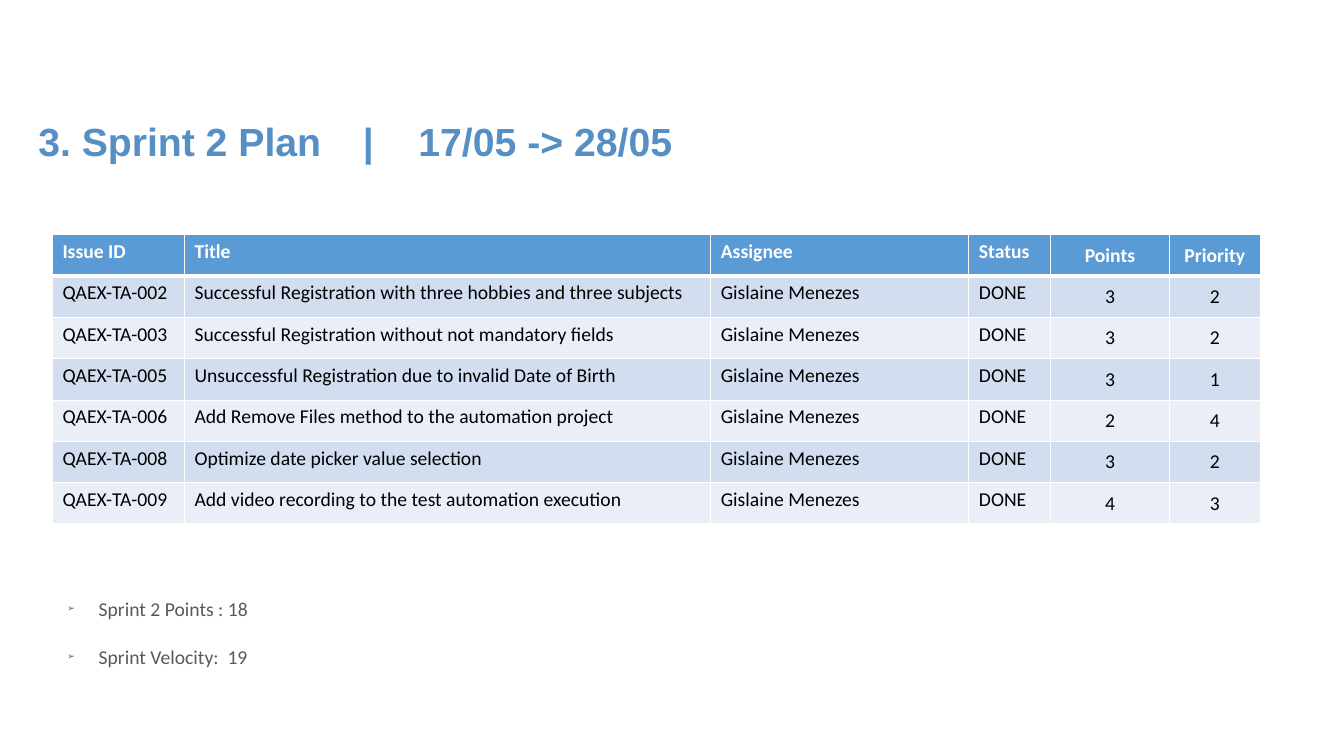
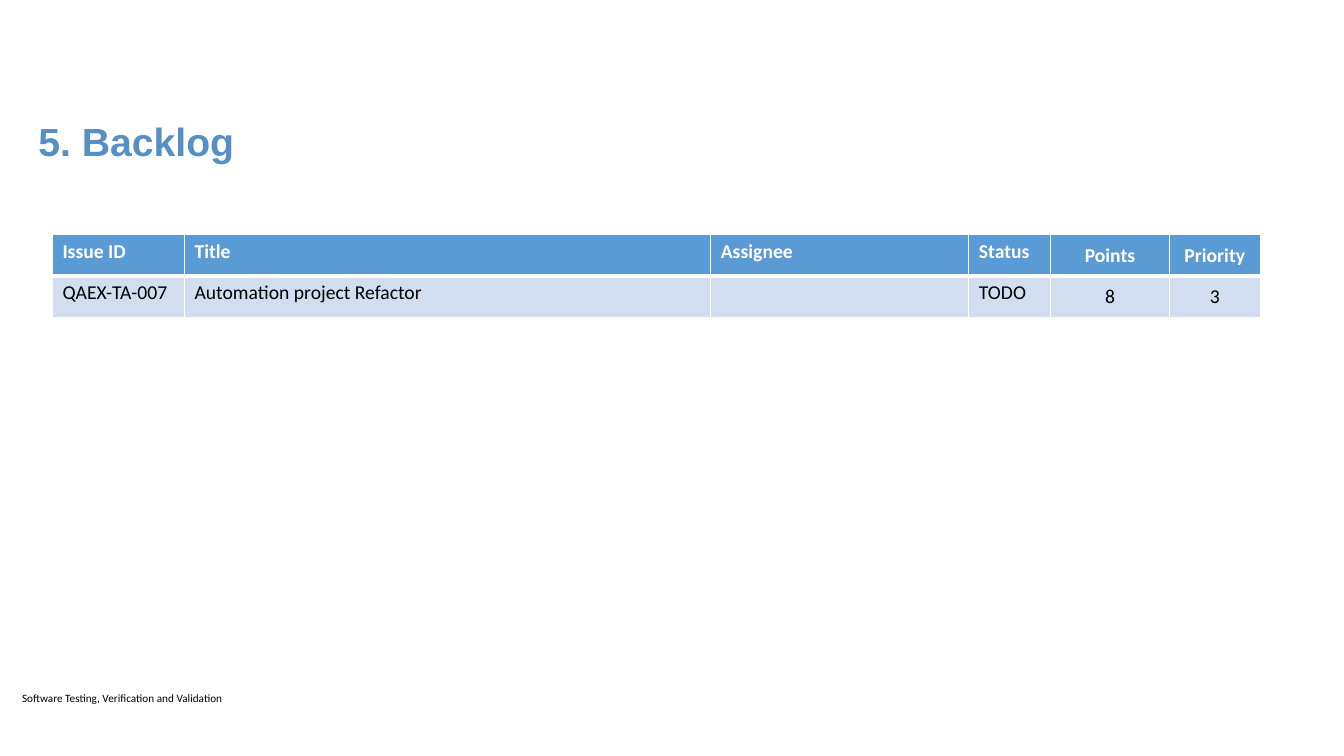
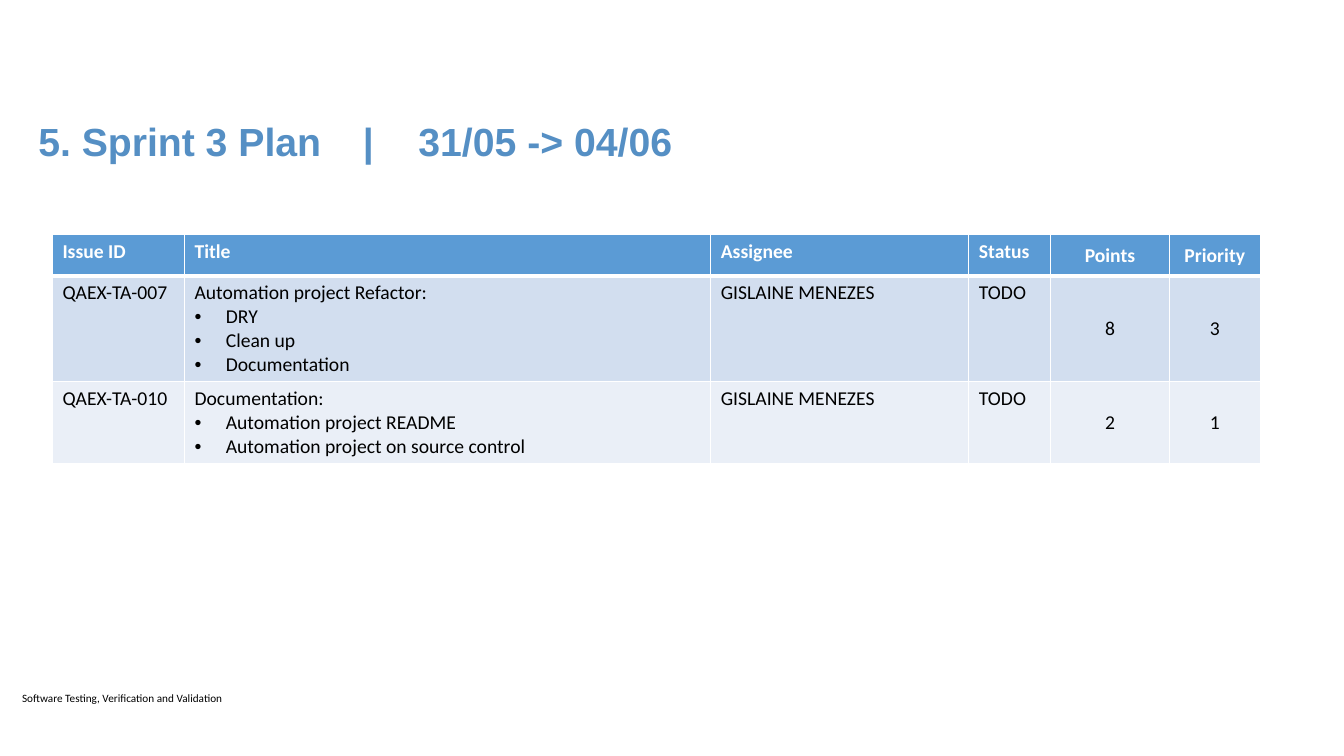
from dataclasses import dataclass

from lxml import etree
from pptx import Presentation
from pptx.dml.color import RGBColor
from pptx.enum import text as t
from pptx.oxml.ns import qn
from pptx.util import Inches, Pt


@dataclass(frozen=True)
class Theme:
    title: str = "558FC4"
    header: str = "5B9BD5"
    bands: tuple = ("D2DEEF", "EAEFF7")
    white: str = "FFFFFF"
    black: str = "000000"
    gray: str = "595959"
    title_font: str = "Arial"
    body_font: str = "Calibri"
    title_size: float = 28
    body_size: float = 14
    footer_size: float = 8


THEME = Theme()
TITLE_BOX = (0.28, 1.11, 7.18, 0.57)
TABLE_BOX = (0.52, 2.33, 11.97, 0.41)
SUMMARY_BOX = (0.28, 5.82, 12.75, 1.14)
FOOTER_BOX = (0.12, 6.81, 5.35, 0.24)

HEADINGS = ("Issue ID", "Title", "Assignee", "Status", "Points", "Priority")
COLUMN_WIDTHS = (1.31, 5.22, 2.56, 0.81, 1.18, 0.9)
FIRST_CENTERED = HEADINGS.index("Points")
ROW_HEIGHT, LINE_HEIGHT, CELL_PADDING = 0.41, 0.23, 0.1
FOOTER = "Software Testing, Verification and Validation"
BULLET = "•"
ARROW = "➢"


def add_node(parent, tag, **attributes):
    node = etree.SubElement(parent, qn(tag))
    for name, value in attributes.items():
        node.set(name, str(value))
    return node


def set_bullet(para, char, indent, percent=100):
    properties = para._p.get_or_add_pPr()
    properties.set("marL", str(Inches(indent)))
    properties.set("indent", str(-Inches(0.31)))
    add_node(properties, "a:buSzPct", val=percent * 1000)
    add_node(properties, "a:buFont", typeface=THEME.title_font)
    add_node(properties, "a:buChar", char=char)


def set_tabs(para, stops):
    tabs = add_node(para._p.get_or_add_pPr(), "a:tabLst")
    for stop in stops:
        add_node(tabs, "a:tab", pos=Inches(stop), algn="l")


def write(frame, text, *, size=THEME.body_size, font=THEME.body_font, color=THEME.black,
          bold=False, align=t.PP_ALIGN.LEFT, before=0, after=0):
    """Fill a text frame with one paragraph per line and return the paragraphs."""
    for index, line in enumerate(text.split("\n")):
        para = frame.add_paragraph() if index else frame.paragraphs[0]
        para.alignment = align
        para.space_before, para.space_after = Pt(before), Pt(after)
        span = para.add_run()
        span.text = line
        span.font.size, span.font.name, span.font.bold = Pt(size), font, bold
        span.font.color.rgb = RGBColor.from_string(color)
    return frame.paragraphs


def add_text_box(page, box, text, top_inset=0.05, **style):
    frame = page.shapes.add_textbox(*map(Inches, box)).text_frame
    frame.word_wrap = True
    frame.margin_top = Inches(top_inset)
    return write(frame, text, **style)


def set_title(page, box, text):
    title = page.shapes.title
    title.left, title.top, title.width, title.height = map(Inches, box)
    frame = title.text_frame
    frame.auto_size = t.MSO_AUTO_SIZE.NONE
    frame.vertical_anchor = t.MSO_ANCHOR.TOP
    paras = write(frame, text, size=THEME.title_size, font=THEME.title_font,
                  color=THEME.title, bold=True)
    set_tabs(paras[0], (3.22, 3.77))


def format_cell(cell, fill, bottom=1):
    properties = cell._tc.get_or_add_tcPr()
    for side, width in (("L", 1), ("R", 1), ("T", 1), ("B", bottom)):
        line = add_node(properties, f"a:ln{side}", w=Pt(width))
        add_node(add_node(line, "a:solidFill"), "a:srgbClr", val=THEME.white)
    cell.fill.solid()
    cell.fill.fore_color.rgb = RGBColor.from_string(fill)


def add_issue_table(page, box, issues):
    rows = [HEADINGS, *issues]
    left, top, width, height = box
    table = page.shapes.add_table(len(rows), len(HEADINGS), Inches(left), Inches(top),
                                  Inches(width), Inches(height * len(rows))).table
    for column, column_width in zip(table.columns, COLUMN_WIDTHS):
        column.width = Inches(column_width)
    for row_index, values in enumerate(rows):
        is_header = row_index == 0
        lines = max(value.count("\n") + 1 for value in values)
        table.rows[row_index].height = Inches(
            max(ROW_HEIGHT, CELL_PADDING + LINE_HEIGHT * lines))
        for column_index, value in enumerate(values):
            cell = table.cell(row_index, column_index)
            format_cell(cell, THEME.header if is_header else THEME.bands[(row_index - 1) % 2],
                        bottom=3 if is_header else 1)
            centered = column_index >= FIRST_CENTERED
            if centered:
                cell.vertical_anchor = t.MSO_ANCHOR.MIDDLE
            if value:
                paras = write(cell.text_frame, value, bold=is_header,
                              color=THEME.white if is_header else THEME.black,
                              align=t.PP_ALIGN.CENTER if centered else t.PP_ALIGN.LEFT)
                for para in paras[1:]:
                    set_bullet(para, BULLET, 0.31)


def add_summary(page, box, text):
    for para in add_text_box(page, box, text, top_inset=0.1, color=THEME.gray,
                             before=3.2, after=14.2):
        set_bullet(para, ARROW, 0.6, percent=45)


def add_issue_page(deck, title, issues, summary=None, footer=None):
    page = deck.slides.add_slide(deck.slide_layouts.get_by_name("Title Only"))
    set_title(page, TITLE_BOX, title)
    add_issue_table(page, TABLE_BOX, issues)
    if summary:
        add_summary(page, SUMMARY_BOX, summary)
    if footer:
        add_text_box(page, FOOTER_BOX, footer, size=THEME.footer_size)


def main():
    deck = Presentation()
    deck.slide_width, deck.slide_height = Inches(13.33), Inches(7.5)
    finished = (
        ("002", "Successful Registration with three hobbies and three subjects", "3", "2"),
        ("003", "Successful Registration without not mandatory fields", "3", "2"),
        ("005", "Unsuccessful Registration due to invalid Date of Birth", "3", "1"),
        ("006", "Add Remove Files method to the automation project", "2", "4"),
        ("008", "Optimize date picker value selection", "3", "2"),
        ("009", "Add video recording to the test automation execution", "4", "3"),
    )
    add_issue_page(
        deck, "3. Sprint 2 Plan\t|\t17/05 -> 28/05",
        [(f"QAEX-TA-{number}", name, "Gislaine Menezes", "DONE", points, priority)
         for number, name, points, priority in finished],
        summary="Sprint 2 Points : 18\nSprint Velocity:  19")
    add_issue_page(
        deck, "5. Backlog",
        [("QAEX-TA-007", "Automation project Refactor", "", "TODO", "8", "3")],
        footer=FOOTER)
    add_issue_page(
        deck, "5. Sprint 3 Plan\t|\t31/05 -> 04/06",
        [("QAEX-TA-007", "Automation project Refactor:\nDRY\nClean up\nDocumentation",
          "GISLAINE MENEZES", "TODO", "8", "3"),
         ("QAEX-TA-010", "Documentation:\nAutomation project README\n"
          "Automation project on source control", "GISLAINE MENEZES", "TODO", "2", "1")],
        footer=FOOTER)
    deck.save("out.pptx")


if __name__ == "__main__":
    main()
